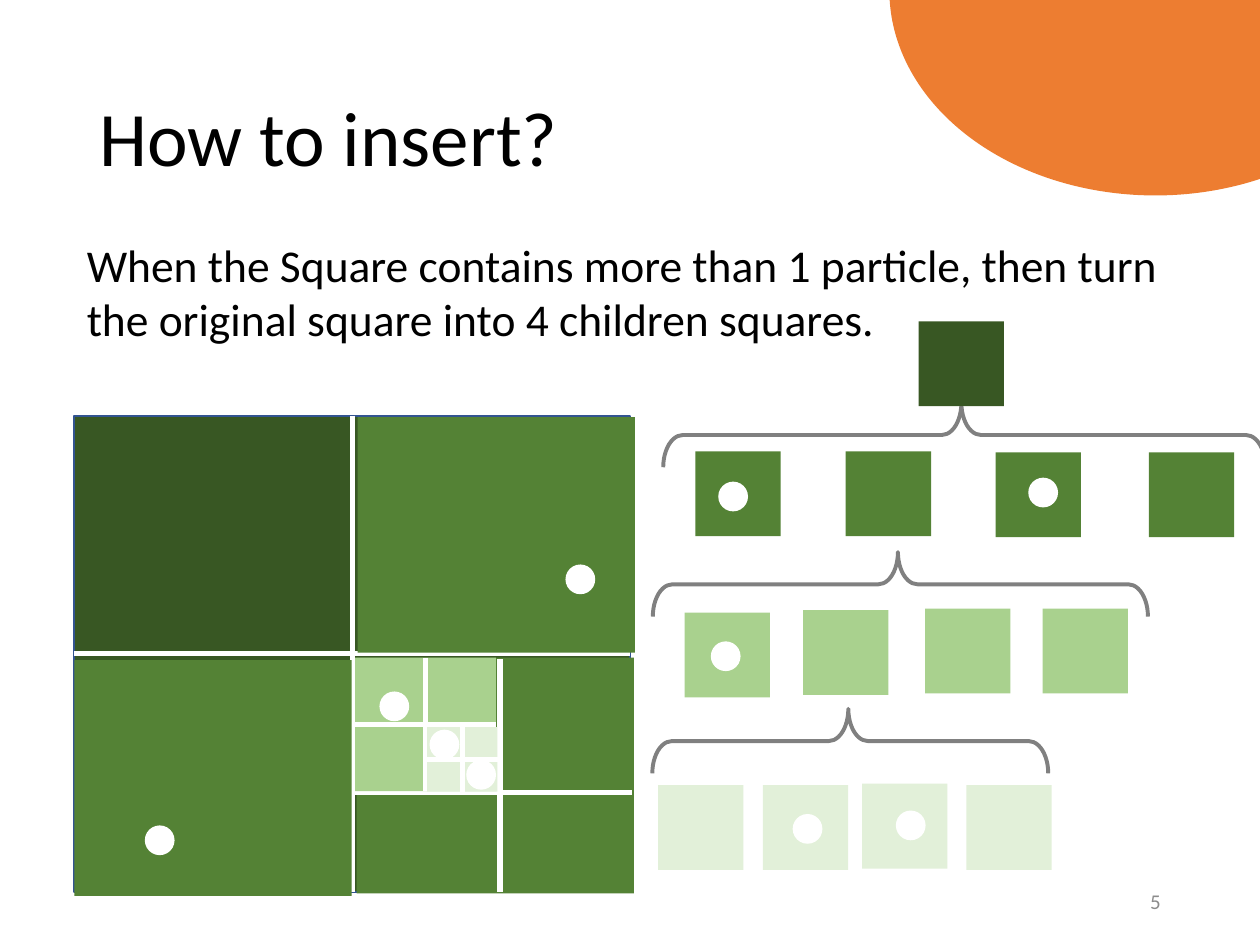
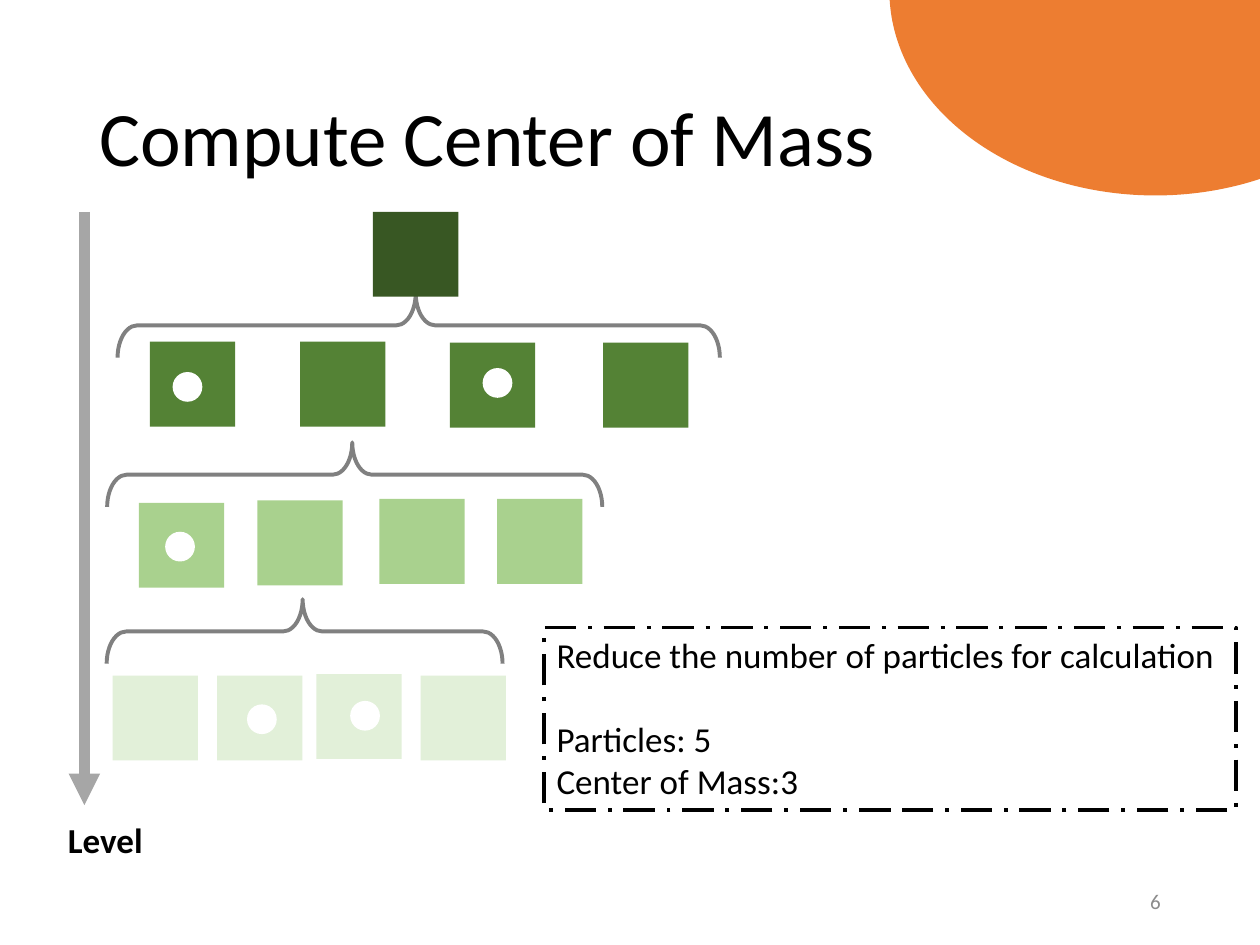
from dataclasses import dataclass
from typing import Optional

from lxml import etree
from pptx import Presentation
from pptx.dml.color import RGBColor
from pptx.enum.dml import MSO_LINE
from pptx.enum.shapes import MSO_CONNECTOR, MSO_SHAPE
from pptx.enum.text import MSO_ANCHOR, PP_ALIGN
from pptx.oxml.ns import qn
from pptx.util import Cm, Pt

RECT, OVAL, BRACE = MSO_SHAPE.RECTANGLE, MSO_SHAPE.OVAL, MSO_SHAPE.LEFT_BRACE
STRAIGHT = MSO_CONNECTOR.STRAIGHT
TOP, MIDDLE = MSO_ANCHOR.TOP, MSO_ANCHOR.MIDDLE
LEFT, RIGHT = PP_ALIGN.LEFT, PP_ALIGN.RIGHT
LONG_DASH_DOT = MSO_LINE.LONG_DASH_DOT

FONT = "Calibri"
COLOR = {
    "text": "000000", "number": "8C8C8C", "white": "FFFFFF", "orange": "ED7D31",
    "root": "385723", "child": "548235", "grand": "A9D18E", "leaf": "E2F0D9",
    "brace": "808080", "arrow": "A6A6A6", "edge": "325491",
}
DOT = 0.6
NODE_W, NODE_H = 1.72, 1.71
BRACE_W = 1.3


@dataclass
class Box:
    x: float
    y: float
    w: float
    h: float


@dataclass
class Line:
    text: str
    size: float
    color: str = "text"
    bold: bool = False
    before: float = 0


@dataclass
class Row:
    """One tree level below the root; places are relative to the root node."""
    shade: str
    nodes: list[tuple[float, float]]
    dots: list[tuple[float, float]]
    mid: tuple[float, float]
    span: float


ROWS = [
    Row("child", [(-4.5, 2.62), (-1.47, 2.62), (1.55, 2.64), (4.64, 2.64)],
        [(-4.04, 3.23), (2.21, 3.15)], (0.92, 2.29), 12.14),
    Row("grand", [(-4.72, 5.87), (-2.33, 5.82), (0.13, 5.79), (2.5, 5.79)],
        [(-4.19, 6.45)], (-0.37, 5.3), 9.98),
    Row("leaf", [(-5.25, 9.35), (-3.14, 9.35), (-1.14, 9.32), (0.96, 9.35)],
        [(-2.54, 9.93), (-0.46, 9.86)], (-1.38, 8.46), 7.98),
]
FIELD = Box(1.5, 8.38, 11.2, 9.6)
LOWER_RIGHT = Box(7.19, 13.26, 5.59, 4.75)
LOWER_LEFT = Box(1.5, 13.31, 5.59, 4.75)
UPPER_RIGHT = Box(7.21, 8.41, 5.59, 4.75)
GRAND = Box(7.16, 13.26, 2.84, 2.69)
LEAF = Box(8.61, 14.66, 1.42, 1.3)
FIELD_DOTS = [(7.65, 13.94), (8.66, 14.71), (9.4, 15.32), (11.4, 11.38), (2.92, 16.64)]


def rgb(name: str) -> RGBColor:
    return RGBColor.from_string(COLOR[name])


def add_form(slide, kind, box: Box, fill: Optional[str] = None,
             edge: Optional[str] = None, width: float = 1):
    form = slide.shapes.add_shape(kind, Cm(box.x), Cm(box.y), Cm(box.w), Cm(box.h))
    form.shadow.inherit = False
    if fill:
        form.fill.solid()
        form.fill.fore_color.rgb = rgb(fill)
    else:
        form.fill.background()
    if edge:
        form.line.color.rgb = rgb(edge)
        form.line.width = Pt(width)
    else:
        form.line.fill.background()
    return form


def add_dot(slide, x: float, y: float) -> None:
    add_form(slide, OVAL, Box(x, y, DOT, DOT), "white")


def add_line(slide, start: tuple[float, float], end: tuple[float, float],
             color: str = "white", width: float = 3, arrow: bool = False):
    line = slide.shapes.add_connector(STRAIGHT, *map(Cm, start + end))
    line.line.color.rgb = rgb(color)
    line.line.width = Pt(width)
    props = line.element.spPr
    if arrow:
        etree.SubElement(props.find(qn("a:ln")), qn("a:tailEnd"), type="triangle")
    etree.SubElement(props, qn("a:effectLst"))
    return line


def split(slide, form) -> None:
    """Cut a rectangle into four with two white lines."""
    for first, last in ((1, 3), (0, 2)):
        cut = add_line(slide, (0, 0), (1, 1))
        cut.begin_connect(form, first)
        cut.end_connect(form, last)


def add_text(slide, box: Box, lines: list[Line], anchor=TOP, align=LEFT,
             spacing: float = 1):
    area = slide.shapes.add_textbox(Cm(box.x), Cm(box.y), Cm(box.w), Cm(box.h))
    frame = area.text_frame
    frame.word_wrap = True
    frame.vertical_anchor = anchor
    for i, line in enumerate(lines):
        para = frame.add_paragraph() if i else frame.paragraphs[0]
        para.alignment = align
        para.line_spacing = spacing
        para.space_before = Pt(line.before)
        run = para.add_run()
        run.text = line.text
        run.font.name = FONT
        run.font.size = Pt(line.size)
        run.font.bold = line.bold
        run.font.color.rgb = rgb(line.color)
    return area


def add_page(deck, title: str, number: int):
    slide = deck.slides.add_slide(deck.slide_layouts[6])
    add_form(slide, OVAL, Box(17.93, -4.32, 10.72, 8.26), "orange")
    add_text(slide, Box(1.75, 1.02, 21.9, 3.68), [Line(title, 44)], MIDDLE, spacing=0.9)
    add_text(slide, Box(17.93, 17.65, 5.72, 1.02), [Line(str(number), 12, "number")],
             MIDDLE, RIGHT)
    return slide


def add_tree(slide, x: float, y: float) -> None:
    """Draw the tree with the root node's corner at x, y."""
    for row in ROWS:
        mid_x, mid_y = row.mid
        box = Box(x + mid_x - BRACE_W / 2, y + mid_y - row.span / 2, BRACE_W, row.span)
        brace = add_form(slide, BRACE, box, edge="brace", width=2.25)
        brace.rotation = 90
        brace.adjustments[0] = 0.303
        brace.adjustments[1] = 0.505
    add_form(slide, RECT, Box(x, y, NODE_W, NODE_H), "root")
    for row in ROWS:
        for dx, dy in row.nodes:
            add_form(slide, RECT, Box(x + dx, y + dy, NODE_W, NODE_H), row.shade)
        for dx, dy in row.dots:
            add_dot(slide, x + dx, y + dy)


def add_field(slide) -> None:
    split(slide, add_form(slide, RECT, FIELD, "root", "edge"))
    add_form(slide, RECT, LOWER_RIGHT, "child")
    add_line(slide, (7.11, 15.98), (12.75, 15.98))
    add_line(slide, (10.08, 13.28), (10.08, 17.98))
    split(slide, add_form(slide, RECT, GRAND, "grand"))
    split(slide, add_form(slide, RECT, LEAF, "leaf"))
    for box in (LOWER_LEFT, UPPER_RIGHT):
        add_form(slide, RECT, box, "child")
    for x, y in FIELD_DOTS:
        add_dot(slide, x, y)


def insert_page(deck) -> None:
    slide = add_page(deck, "How to insert?", 5)
    add_tree(slide, 18.52, 6.48)
    add_field(slide)
    add_text(slide, Box(1.5, 4.65, 23.04, 2.49), [Line(
        "When the Square contains more than 1 particle, then turn "
        "the original square into 4 children squares.", 26)])


def mass_page(deck) -> None:
    slide = add_page(deck, "Compute Center of Mass", 6)
    add_tree(slide, 7.52, 4.27)
    add_line(slide, (1.7, 4.27), (1.7, 16.23), "arrow", 6, arrow=True)
    add_text(slide, Box(1.12, 16.38, 8.15, 1.12), [Line("Level", 20, bold=True)])
    note = add_text(slide, Box(10.97, 12.65, 13.94, 3.68), [
        Line("Reduce the number of particles for calculation", 20),
        Line("Particles: 5", 20, before=24),
        Line("Center of Mass:3", 20),
    ])
    note.line.color.rgb = rgb("text")
    note.line.width = Pt(2.25)
    note.line.dash_style = LONG_DASH_DOT


def main() -> None:
    deck = Presentation()
    deck.slide_width, deck.slide_height = Cm(25.4), Cm(19.05)
    insert_page(deck)
    mass_page(deck)
    deck.save("out.pptx")


if __name__ == "__main__":
    main()
